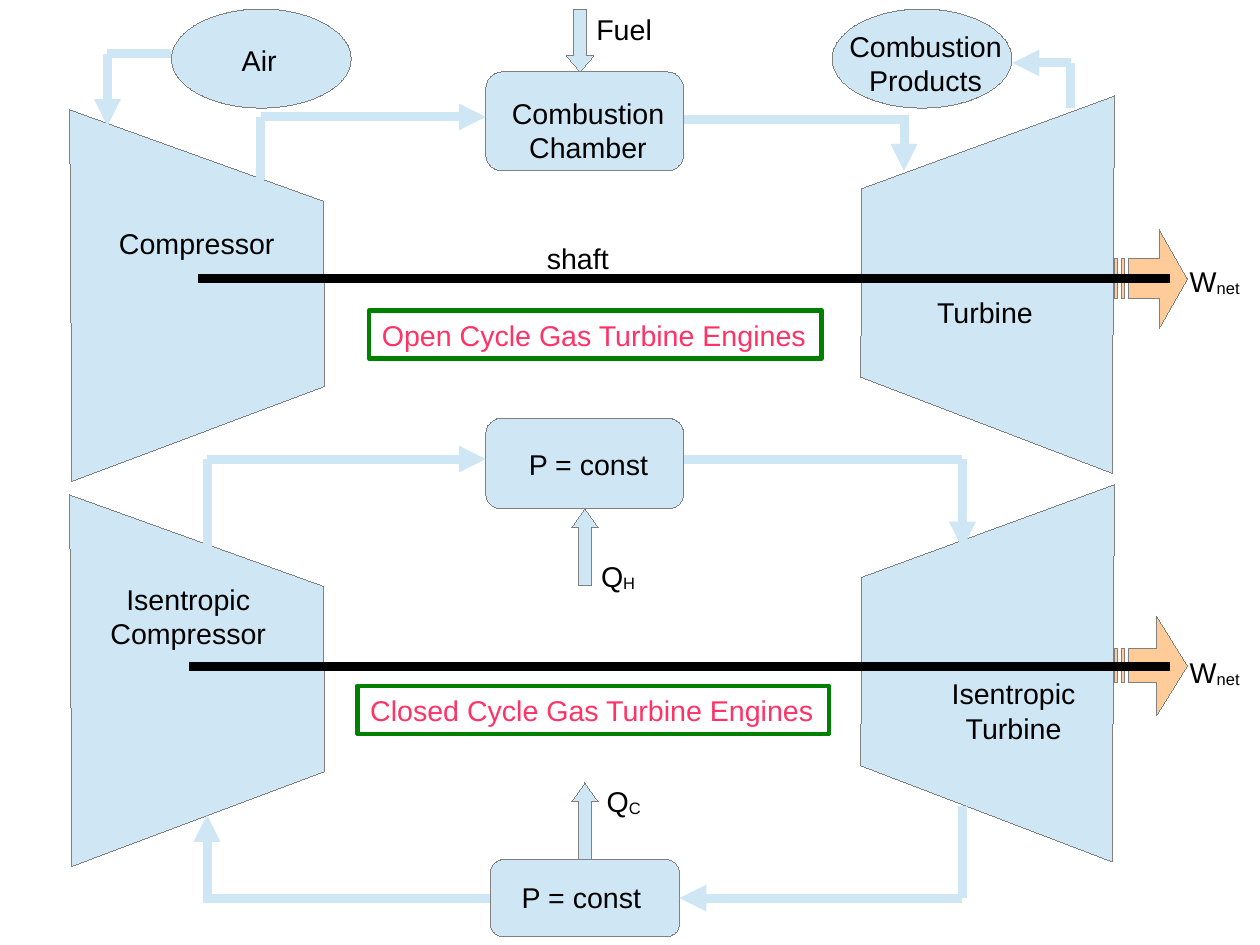
from pptx import Presentation
from pptx.dml.color import RGBColor
from pptx.enum.shapes import MSO_CONNECTOR, MSO_SHAPE
from pptx.enum.text import MSO_ANCHOR, MSO_AUTO_SIZE, PP_ALIGN
from pptx.oxml.ns import qn
from pptx.util import Pt
from lxml.etree import SubElement

COLORS = {
    "machine": "CFE7F5",
    "outline": "808080",
    "work": "FFCC99",
    "shaft": "000000",
    "text": "000000",
    "title": "FF3366",
    "frame": "008000",
}
PIPE_WIDTH = 5.67
HAIRLINE = 0.01
COMPRESSOR = [(45.4, 303.1), (43.9, 69.1), (203.8, 126.7), (204.5, 243.4)]
TURBINE = [(702, 60.5), (700.6, 298.1), (542.2, 237.6), (542.9, 118.8)]


def color(name):
    return RGBColor.from_string(COLORS[name])


def style_shape(shape, fill):
    shape.shadow.inherit = False
    shape.fill.solid()
    shape.fill.fore_color.rgb = color(fill)
    shape.line.color.rgb = color("outline")
    shape.line.width = Pt(HAIRLINE)


def add_preset(slide, kind, left, top, width, height, adjustments=()):
    shape = slide.shapes.add_shape(kind, Pt(left), Pt(top), Pt(width), Pt(height))
    style_shape(shape, "machine")
    for index, value in enumerate(adjustments):
        shape.adjustments[index] = value
    return shape


def add_outline(slide, contours, fill):
    """Draw one freeform from closed contours given in points."""
    contours = [[(Pt(x), Pt(y)) for x, y in contour] for contour in contours]
    builder = slide.shapes.build_freeform(*contours[0][0])
    for index, contour in enumerate(contours):
        if index:
            builder.move_to(*contour[0])
        builder.add_line_segments(contour[1:], close=True)
    style_shape(builder.convert_to_shape(), fill)


def add_machine(slide, corners, drop=0):
    add_outline(slide, [[(x, y + drop) for x, y in corners]], "machine")


def add_work_arrow(slide, middle, head, half_body):
    """Draw the striped arrow for the net work output."""
    left, tip, half_head = 702, 748, 31.3
    top, bottom = middle - half_body, middle + half_body
    body = left + 8.6
    arrow = [(head, middle - half_head), (tip, middle), (head, middle + half_head),
             (head, bottom), (body, bottom), (body, top), (head, top)]
    stripes = [[(x, top), (x, bottom), (x + 2.1, bottom), (x + 2.1, top)]
               for x in (left, left + 4.3)]
    add_outline(slide, [arrow, *stripes], "work")


def add_line(slide, start, end, arrow=False, stroke="machine"):
    connector = slide.shapes.add_connector(
        MSO_CONNECTOR.STRAIGHT, *(Pt(value) for value in (*start, *end)))
    connector.line.color.rgb = color(stroke)
    connector.line.width = Pt(PIPE_WIDTH)
    properties = connector._element.spPr
    if arrow:
        SubElement(properties.find(qn("a:ln")), qn("a:tailEnd"), type="triangle")
    SubElement(properties, qn("a:effectLst"))
    return connector


def format_text(shape, text, font_color, alignment):
    frame = shape.text_frame
    frame.text = text
    frame.word_wrap = False
    frame.auto_size = MSO_AUTO_SIZE.SHAPE_TO_FIT_TEXT
    for paragraph in frame.paragraphs:
        paragraph.alignment = alignment
        paragraph.font.name = "Arial"
        paragraph.font.size = Pt(18)
        for run in paragraph.runs:
            run.font.name = "Arial"
            run.font.size = Pt(18)
            run.font.color.rgb = color(font_color)


def add_label(slide, text, left, top, width, height=27.4, subscript=""):
    box = slide.shapes.add_textbox(Pt(left), Pt(top), Pt(width), Pt(height))
    alignment = PP_ALIGN.CENTER if "\n" in text else PP_ALIGN.LEFT
    format_text(box, text, "text", alignment)
    if subscript:
        run = box.text_frame.paragraphs[0].add_run()
        run.text = subscript
        run.font.name = "Arial"
        run.font.size = Pt(18)
        run.font.color.rgb = color("text")
        run._r.get_or_add_rPr().set("baseline", "-8000")


def add_title(slide, text, left, top, width):
    shape = slide.shapes.add_shape(
        MSO_SHAPE.RECTANGLE, Pt(left), Pt(top), Pt(width), Pt(30.3))
    shape.shadow.inherit = False
    shape.fill.background()
    shape.line.color.rgb = color("frame")
    shape.line.width = Pt(2.83)
    format_text(shape, text, "title", PP_ALIGN.LEFT)
    frame = shape.text_frame
    frame.vertical_anchor = MSO_ANCHOR.TOP
    frame.margin_left = frame.margin_right = Pt(8)
    frame.margin_top = frame.margin_bottom = Pt(4.5)


def add_open_cycle(slide):
    # Machines, chamber, flows in and out
    add_machine(slide, TURBINE)
    add_machine(slide, COMPRESSOR)
    add_preset(slide, MSO_SHAPE.ROUNDED_RECTANGLE, 306, 45.2, 124.7, 62.4, [0.167])
    for left in (108, 524.2):
        add_preset(slide, MSO_SHAPE.OVAL, left, 5.7, 113.2, 62.4)
    add_preset(slide, MSO_SHAPE.DOWN_ARROW, 357, 5.7, 17, 39.5, [0.5, 0.583])
    add_work_arrow(slide, 175.7, 730.1, 12.6)
    add_line(slide, (124.6, 175.7), (737, 175.7), stroke="shaft")

    # Pipes
    for start, end, arrow in [
        ((108, 34), (67.7, 34), False),
        ((67.7, 34), (67.7, 79.4), True),
        ((674.6, 68), (674.6, 39.7), False),
        ((674.6, 39.7), (637.8, 39.7), True),
        ((164.4, 73.7), (306, 73.7), True),
        ((164.4, 73.7), (164.4, 113.4), False),
        ((572.6, 75.1), (430.7, 75.1), False),
        ((569.5, 73.7), (569.5, 107.7), True),
    ]:
        add_line(slide, start, end, arrow)

    # Labels
    add_label(slide, "Turbine", 583.2, 182.2, 76.5)
    add_label(slide, "Compressor", 67.9, 138.8, 114)
    add_label(slide, "Combustion\nChamber", 314.4, 56.9, 112, 47.5)
    add_label(slide, "Combustion\nProducts", 527, 14.8, 112, 47.5)
    add_label(slide, "Fuel", 368.6, 4, 52)
    add_label(slide, "Air", 145.2, 23.8, 38)
    add_label(slide, "shaft", 337.4, 148.3, 55)
    add_label(slide, "W", 742.3, 162.7, 51.1, 33.1, subscript="net")
    add_title(slide, "Open Cycle Gas Turbine Engines", 232.6, 195.5, 285)


def add_closed_cycle(slide):
    # Machines, heat exchangers, heat and work arrows
    add_machine(slide, COMPRESSOR, 242.6)
    add_machine(slide, TURBINE, 244.8)
    add_preset(slide, MSO_SHAPE.ROUNDED_RECTANGLE, 306, 263.6, 124.7, 56.8, [0.167])
    cooler = add_preset(slide, MSO_SHAPE.ROUNDED_RECTANGLE,
                        309, 541.5, 119, 48.5, [0.167])
    for top in (320.4, 493.2):
        add_preset(slide, MSO_SHAPE.UP_ARROW, 360, top, 17, 48.2, [0.5, 0.708])
    add_work_arrow(slide, 419.4, 728.6, 10.8)
    add_line(slide, (119, 419.6), (737, 419.6), stroke="shaft")

    # Pipes
    left, right, hot, cold = 130.4, 606.3, 289.2, 565.75
    for start, end, arrow in [
        ((left, 345.6), (left, hot), False),
        ((left, hot), (306, hot), True),
        ((right, hot), (430.7, hot), False),
        ((right, hot), (right, 345.6), True),
        ((right, cold), (right, 507.6), False),
        ((left, 568.6), (left, 513.4), True),
    ]:
        add_line(slide, start, end, arrow)
    add_line(slide, (right, cold), (428, cold), True).end_connect(cooler, 3)
    add_line(slide, (309, cold), (left, cold)).begin_connect(cooler, 1)

    # Labels
    add_label(slide, "Isentropic\nCompressor", 61.6, 362.9, 114, 47.5)
    add_label(slide, "Isentropic\nTurbine", 591.5, 422.6, 94, 47.5)
    add_label(slide, "P = const", 326, 277.9, 92)
    add_label(slide, "P = const", 321.6, 550.8, 92)
    add_label(slide, "Q", 371.5, 348.5, 38, 33.1, subscript="H")
    add_label(slide, "Q", 375.1, 490.3, 38, 33.1, subscript="C")
    add_label(slide, "W", 742.3, 409, 51.1, 33.1, subscript="net")
    add_title(slide, "Closed Cycle Gas Turbine Engines", 225.2, 432, 297)


def main():
    presentation = Presentation()
    presentation.slide_width = Pt(793.7)
    presentation.slide_height = Pt(595.3)
    slide = presentation.slides.add_slide(presentation.slide_layouts[6])
    add_open_cycle(slide)
    add_closed_cycle(slide)
    presentation.save("out.pptx")


if __name__ == "__main__":
    main()
